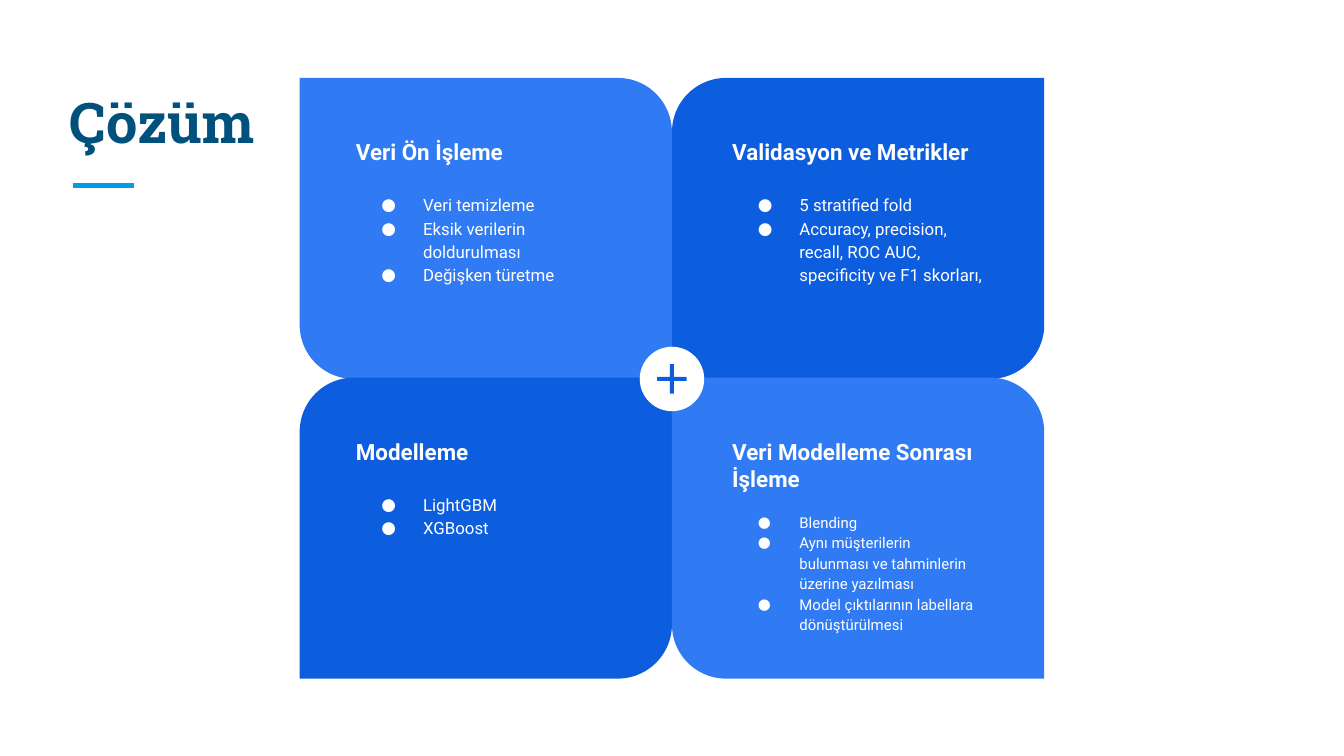
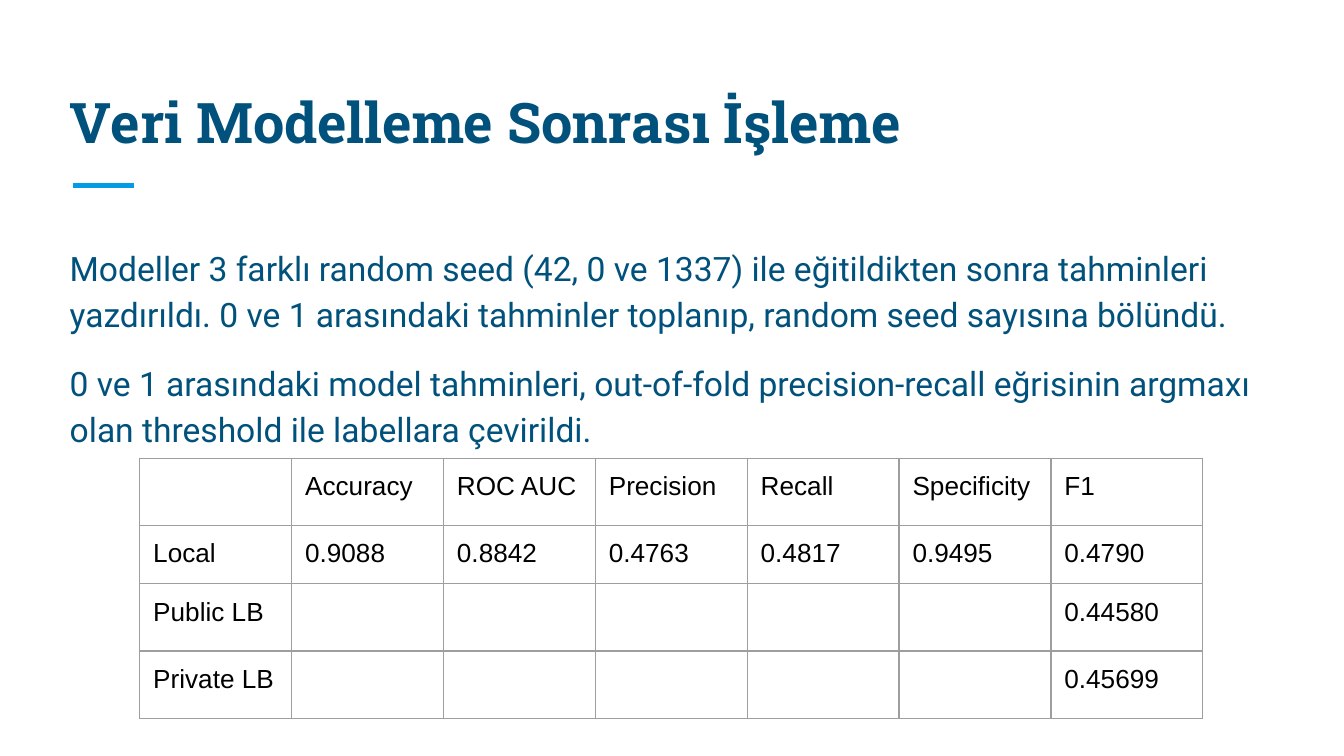
from lxml.etree import SubElement as Sub, Element as Elem
from pptx import Presentation
from pptx.dml.color import RGBColor as Rgb
from pptx.enum.shapes import MSO_CONNECTOR as Conn, MSO_SHAPE as Form
from pptx.enum.text import MSO_ANCHOR as Anchor, MSO_AUTO_SIZE as Fit, PP_ALIGN as Align
from pptx.oxml.ns import qn
from pptx.util import Inches as In, Pt

NAVY, SKY, DEEP, LIGHT = "00517C", "039BE5", "0D5DDF", "307BF3"
WHITE, BLACK, GREY = "FFFFFF", "000000", "9E9E9E"


def paint(item, tone):
    item.fill.solid()
    item.fill.fore_color.rgb = Rgb.from_string(tone)
    item.line.fill.background()
    item.shadow.inherit = False


def write(frame, lines, size, tone, font="Roboto", bold=False, space=1.0,
          before=0, after=0, dots=False, fit=Fit.NONE, anchor=Anchor.TOP):
    frame.word_wrap = True
    frame.auto_size = fit
    frame.vertical_anchor = anchor
    frame.margin_left = frame.margin_right = In(0.1)
    frame.margin_top = frame.margin_bottom = In(0.1)
    for n, line in enumerate(lines):
        para = frame.add_paragraph() if n else frame.paragraphs[0]
        para.alignment = Align.LEFT
        para.line_spacing = space
        para.space_before = Pt(before)
        para.space_after = Pt(after if n == len(lines) - 1 else 0)
        run = para.add_run()
        run.text = line
        run.font.size = Pt(size)
        run.font.name = font
        run.font.bold = bold
        run.font.color.rgb = Rgb.from_string(tone)
        if dots:
            props = para._p.get_or_add_pPr()
            props.set("marL", str(In(0.5)))
            props.set("indent", str(-In(0.31)))
            hue = Sub(props, qn("a:buClr"))
            Sub(hue, qn("a:srgbClr"), val=tone)
            Sub(props, qn("a:buFont"), typeface=font)
            Sub(props, qn("a:buChar"), char="●")


deck = Presentation()
deck.slide_width = In(10)
deck.slide_height = deck.slide_width * 9 // 16

slides = []
for name in ["Çözüm", "Veri Modelleme Sonrası İşleme"]:
    slide = deck.slides.add_slide(deck.slide_layouts[5])
    rule = slide.shapes.add_connector(Conn.STRAIGHT, In(0.54), In(1.38), In(1), In(1.38))
    rule.line.color.rgb = Rgb.from_string(SKY)
    rule.line.width = Pt(3)
    Sub(rule._element.spPr, qn("a:effectLst"))
    title = slide.shapes.title
    title.left, title.top, title.width, title.height = In(0.42), In(0.5), In(9.15), In(0.75)
    write(title.text_frame, [name], 30, NAVY, font="Roboto Slab", bold=True, anchor=Anchor.BOTTOM)
    slides.append(slide)
first, second = slides

panels = [
    (0, 1, "Validasyon ve Metrikler", 9, 0.4,
     ["5 stratified fold", "Accuracy, precision, recall, ROC AUC, specificity ve F1 skorları,"]),
    (0, 0, "Veri Ön İşleme", 9, 0.4,
     ["Veri temizleme", "Eksik verilerin doldurulması", "Değişken türetme"]),
    (1, 0, "Modelleme", 9, 0.4, ["LightGBM", "XGBoost"]),
    (1, 1, "Veri Modelleme Sonrası İşleme", 8, 0.54,
     ["Blending", "Aynı müşterilerin bulunması ve tahminlerin üzerine yazılması",
      "Model çıktılarının labellara dönüştürülmesi"]),
]
wide, high = 2.77, 2.24
for row, col, head, size, drop, items in panels:
    group = first.shapes.add_group_shape().shapes
    left, top = 2.23 + col * wide, 0.58 + row * 2.23
    panel = group.add_shape(Form.ROUND_2_DIAG_RECTANGLE, In(left), In(top), In(wide), In(high))
    even = row == col
    panel.adjustments[0], panel.adjustments[1] = (0, 0.18) if even else (0.18, 0)
    paint(panel, LIGHT if even else DEEP)
    left, top = 2.55 + col * 2.8, top + 0.35
    box = group.add_textbox(In(left), In(top), In(2.07), In(0.65))
    write(box.text_frame, [head], 12, WHITE, bold=True)
    box = group.add_textbox(In(left), In(top + drop), In(2.07), In(0.73))
    write(box.text_frame, items, size, WHITE, space=1.15, dots=True)

badge = first.shapes.add_group_shape().shapes
for form, side, tone in [(Form.OVAL, 0.48, WHITE), (Form.MATH_PLUS, 0.3, DEEP)]:
    mark = badge.add_shape(form, In(5 - side / 2), In(2.82 - side / 2), In(side), In(side))
    paint(mark, tone)
mark.adjustments[0] = 0.1

body = second.shapes.add_textbox(In(0.42), In(1.7), In(9.15), In(1.72))
write(body.text_frame, [
    "Modeller 3 farklı random seed (42, 0 ve 1337) ile eğitildikten sonra tahminleri yazdırıldı. "
    "0 ve 1 arasındaki tahminler toplanıp, random seed sayısına bölündü.",
    "0 ve 1 arasındaki model tahminleri, out-of-fold precision-recall eğrisinin argmaxı "
    "olan threshold ile labellara çevirildi.",
], 18, NAVY, space=1.15, before=12, after=12, fit=Fit.SHAPE_TO_FIT_TEXT)

data = [
    ["", "Accuracy", "ROC AUC", "Precision", "Recall", "Specificity", "F1"],
    ["Local", "0.9088", "0.8842", "0.4763", "0.4817", "0.9495", "0.4790"],
    ["Public LB", "", "", "", "", "", "0.44580"],
    ["Private LB", "", "", "", "", "", "0.45699"],
]
grid = second.shapes.add_table(4, 7, In(1.04), In(3.41), In(7 * 1.13), In(4 * 0.42)).table
grid.first_row = grid.horz_banding = False
for col in grid.columns:
    col.width = In(1.13)
for r, row in enumerate(data):
    grid.rows[r].height = In(0.42)
    for c, text in enumerate(row):
        cell = grid.cell(r, c)
        cell.margin_left = cell.margin_right = In(0.1)
        cell.margin_top = cell.margin_bottom = In(0.1)
        cell.fill.background()
        if text:
            run = cell.text_frame.paragraphs[0].add_run()
            run.text = text
            run.font.size = Pt(14)
            run.font.name = "Arial"
            run.font.color.rgb = Rgb.from_string(BLACK)
        props = cell._tc.get_or_add_tcPr()
        for n, side in enumerate("LRTB"):
            edge = Elem(qn("a:ln" + side), w=str(Pt(0.75)))
            Sub(Sub(edge, qn("a:solidFill")), qn("a:srgbClr"), val=GREY)
            props.insert(n, edge)

deck.save("out.pptx")
